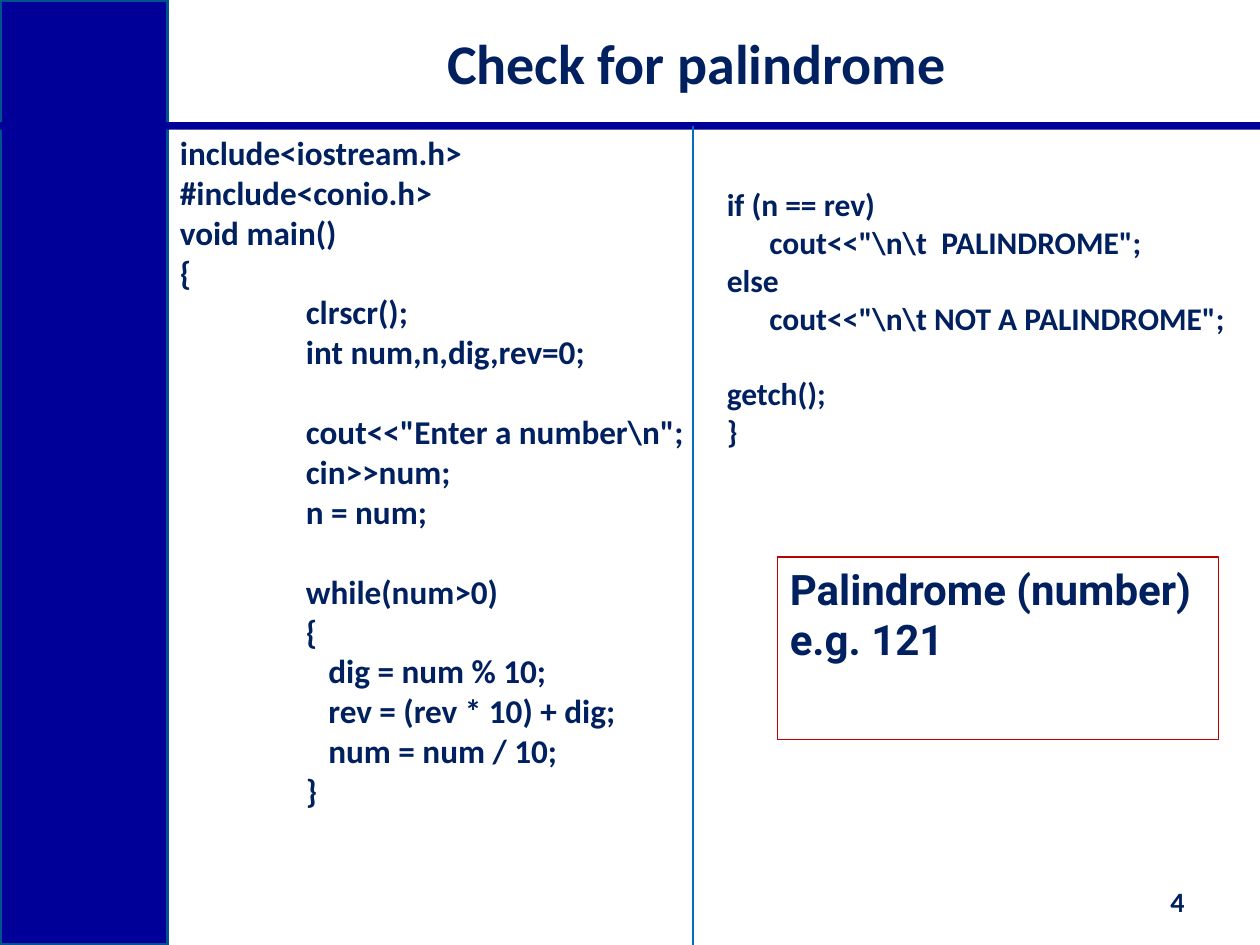
import pptx
import pptx.util
import pptx.dml.color
import pptx.enum.shapes
import pptx.enum.text
from pptx.util import Inches

TITLE = "Check for palindrome"
NUMBER = "4"
# An empty string leaves a one-line gap before the next line.
LEFT_CODE = [
    "include<iostream.h>",
    "#include<conio.h>",
    "void main()",
    "{",
    "\tclrscr();",
    "\tint num,n,dig,rev=0;",
    "",
    '\tcout<<"Enter a number\\n";',
    "\tcin>>num;",
    "\tn = num;",
    "",
    "\twhile(num>0)",
    "\t{",
    "\t   dig = num % 10;",
    "\t   rev = (rev * 10) + dig;",
    "\t   num = num / 10;",
    "\t}",
]
RIGHT_CODE = [
    "if (n == rev)",
    '      cout<<"\\n\\t  PALINDROME";',
    "else",
    '      cout<<"\\n\\t NOT A PALINDROME";',
    "",
    "getch();",
    "}",
]
NOTE = ["Palindrome (number)", "e.g. 121"]

THEME = {
    "ink": "002060", "bar": "000099", "edge": "00538E",
    "rule": "006EBC", "frame": "C00000",
    "font": "Calibri", "note font": "Roboto",
    "title": 32, "left": 19, "right": 18, "note": 24, "number": 16,
}
LINE = 1.2  # line height as a share of the type size
TAB = Inches(1)

ALIGN = pptx.enum.text.PP_ALIGN
MIDDLE = pptx.enum.text.MSO_ANCHOR.MIDDLE


def color(name):
    return pptx.dml.color.RGBColor.from_string(THEME[name])


def add_child(parent, tag, **attrs):
    child = parent.makeelement(pptx.oxml.ns.qn(tag), attrs)
    parent.append(child)
    return child


def write(frame, lines, size, font="font", align=ALIGN.LEFT):
    frame.word_wrap = True
    frame.auto_size = pptx.enum.text.MSO_AUTO_SIZE.NONE
    gap, first = 0, True
    for line in lines:
        if not line:
            gap += THEME[size] * LINE
            continue
        para = frame.paragraphs[0] if first else frame.add_paragraph()
        para.text = line
        para.alignment = align
        if gap:
            para.space_before = pptx.util.Pt(round(gap, 1))
        if "\t" in line:
            tabs = add_child(para._p.get_or_add_pPr(), "a:tabLst")
            add_child(tabs, "a:tab", pos=str(TAB), algn="l")
        for run in para.runs:
            run.font.name = THEME[font]
            run.font.size = pptx.util.Pt(THEME[size])
            run.font.bold = True
            run.font.color.rgb = color("ink")
        gap, first = 0, False


def add_rect(slide, box, fill=None, line=None, width=0.75):
    kind = pptx.enum.shapes.MSO_SHAPE.RECTANGLE
    shape = slide.shapes.add_shape(kind, *map(Inches, box))
    shape.shadow.inherit = False
    if fill:
        shape.fill.solid()
        shape.fill.fore_color.rgb = color(fill)
    else:
        shape.fill.background()
    if line:
        shape.line.color.rgb = color(line)
        shape.line.width = pptx.util.Pt(width)
    else:
        shape.line.fill.background()
    return shape


def add_text(slide, box, lines, size, align=ALIGN.LEFT):
    frame = slide.shapes.add_textbox(*map(Inches, box)).text_frame
    write(frame, lines, size, align=align)
    return frame


def add_rule(slide, x, top, end):
    kind = pptx.enum.shapes.MSO_CONNECTOR.STRAIGHT
    rule = slide.shapes.add_connector(kind, *map(Inches, (x, top, x, end)))
    rule.line.color.rgb = color("rule")
    rule.line.width = pptx.util.Pt(0.75)
    add_child(rule._element.spPr, "a:effectLst")


def main():
    deck = pptx.Presentation()
    deck.slide_width, deck.slide_height = Inches(10), Inches(7.5)
    slide = deck.slides.add_slide(deck.slide_layouts[5])

    add_rect(slide, (0, 0, 1.33, 7.5), "bar", "edge", 2)
    add_rect(slide, (0, 0.97, 10, 0.06), "bar")

    title = slide.shapes.title
    title.left, title.top = Inches(1.25), Inches(0.02)
    title.width, title.height = Inches(8.56), Inches(0.95)
    title.text_frame.vertical_anchor = MIDDLE
    write(title.text_frame, [TITLE], "title", align=ALIGN.CENTER)

    add_text(slide, (1.33, 1, 8.33, 6.18), LEFT_CODE, "left")
    note = add_rect(slide, (6.17, 4.42, 3.5, 1.45), line="frame").text_frame
    note.vertical_anchor = pptx.enum.text.MSO_ANCHOR.TOP
    write(note, NOTE, "note", "note font")
    add_text(slide, (5.67, 1.42, 4.33, 2.22), RIGHT_CODE, "right")
    add_rule(slide, 5.5, 1, 7.5)

    page = add_text(slide, (8.75, 6.95, 0.75, 0.4), [NUMBER], "number", ALIGN.RIGHT)
    page.vertical_anchor = MIDDLE
    deck.save("out.pptx")


if __name__ == "__main__":
    main()
